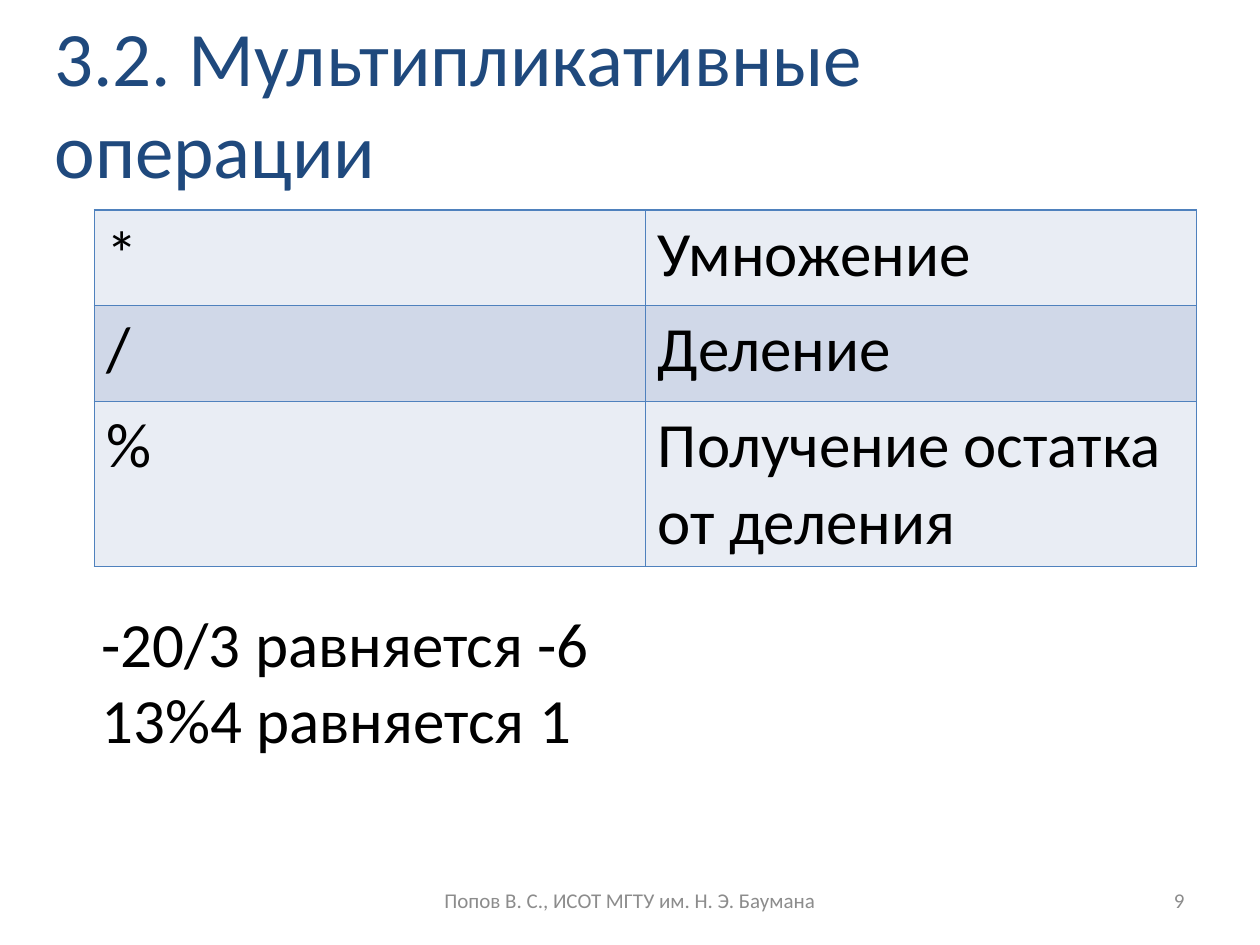
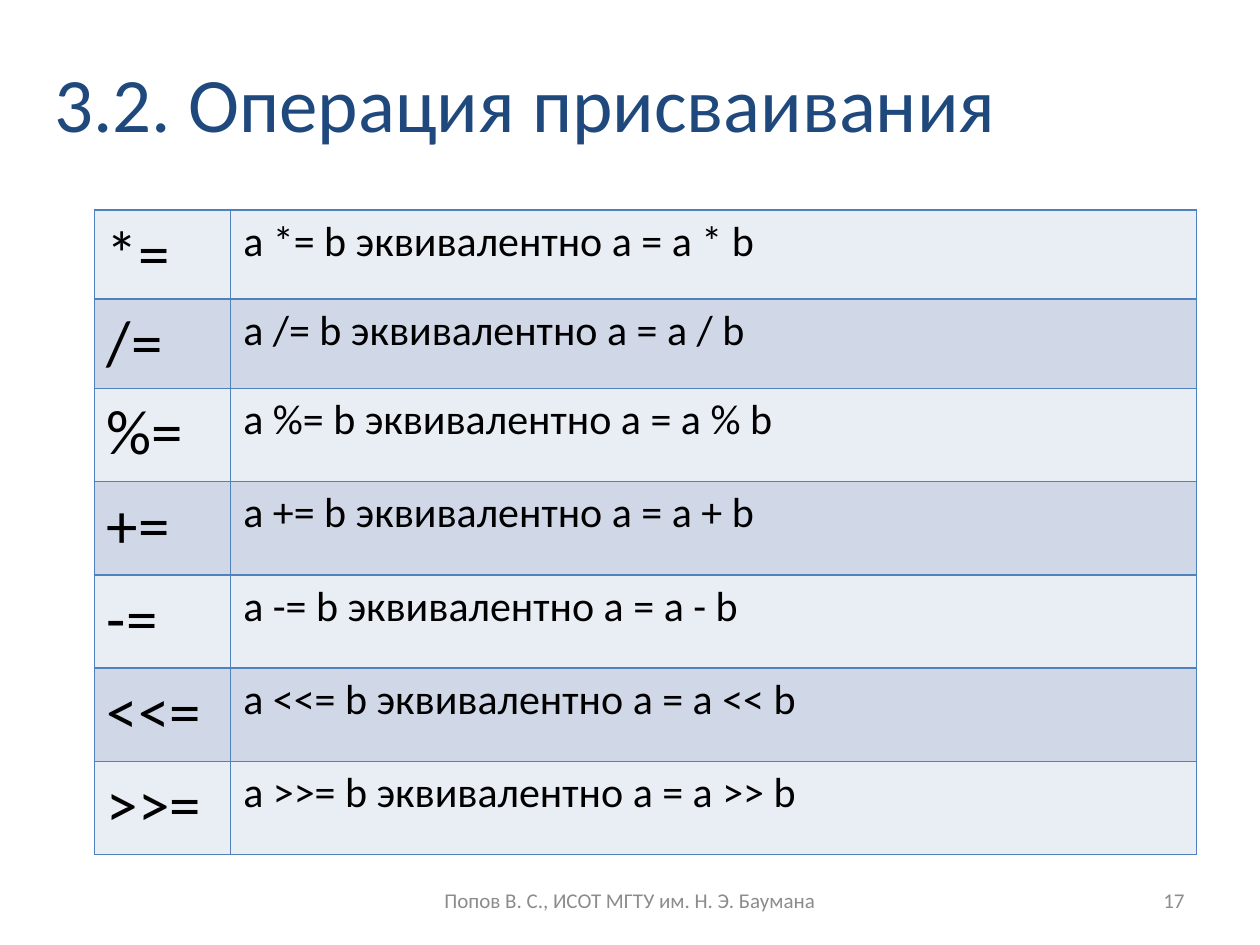
import pptx
import pptx.util
import pptx.dml.color
import pptx.enum.text
import pptx.oxml
import pptx.oxml.ns
import lxml.etree

Cm, Pt = pptx.util.Cm, pptx.util.Pt
RGBColor = pptx.dml.color.RGBColor
ALIGN = pptx.enum.text.PP_ALIGN
ANCHOR = pptx.enum.text.MSO_ANCHOR

FONT = "Calibri"
NAVY = RGBColor(0x1F, 0x49, 0x7D)
BLACK = RGBColor(0, 0, 0)
GRAY = RGBColor(0x8C, 0x8C, 0x8C)
BORDER = RGBColor(0x4F, 0x81, 0xBD)
BANDS = [RGBColor(0xE9, 0xED, 0xF4), RGBColor(0xD0, 0xD8, 0xE8)]

FOOTER = "Попов В. С., ИСОТ МГТУ им. Н. Э. Баумана"
ASSIGNED = ["*", "/", "%", "+", "-", "<<", ">>"]
PAGES = [
    {
        "title": "3.2. Мультипликативные операции",
        "number": 9,
        "rows": [("*", "Умножение"), ("/", "Деление"), ("%", "Получение остатка от деления")],
        "widths": [11.11, 11.11],
        "heights": [1.93, 1.93, 3.33],
        "sizes": [36, 36],
        "examples": ["-20/3 равняется -6", "13%4 равняется 1"],
    },
    {
        "title": "3.2. Операция присваивания",
        "number": 17,
        "rows": [(f"{sign}=", f"a {sign}= b эквивалентно a = a {sign} b") for sign in ASSIGNED],
        "widths": [2.75, 19.47],
        "heights": [1.8] * 2 + [1.88] * 5,
        "sizes": [36, 24],
        "examples": [],
    },
]


def format_text(frame, size, color, align=ALIGN.LEFT, indent=0):
    for para in frame.paragraphs:
        para.alignment = align
        if indent:
            properties = para._p.get_or_add_pPr()
            properties.set("marL", str(Cm(indent)))
            properties.set("indent", "0")
        for span in para.runs:
            span.font.name = FONT
            span.font.size = Pt(size)
            span.font.color.rgb = color


def add_text(page, place, text, size, color, align=ALIGN.LEFT, anchor=ANCHOR.MIDDLE, indent=0):
    box = page.shapes.add_textbox(*[Cm(length) for length in place])
    frame = box.text_frame
    frame.word_wrap = True
    frame.vertical_anchor = anchor
    frame.text = text
    format_text(frame, size, color, align, indent)


def add_borders(cell):
    properties = cell._tc.get_or_add_tcPr()
    for side in ("a:lnL", "a:lnR", "a:lnT", "a:lnB"):
        line = lxml.etree.SubElement(properties, pptx.oxml.ns.qn(side), w=str(Pt(1)))
        fill = lxml.etree.SubElement(line, pptx.oxml.ns.qn("a:solidFill"))
        lxml.etree.SubElement(fill, pptx.oxml.ns.qn("a:srgbClr"), val=str(BORDER))


def add_operations(page, rows, widths, heights, sizes):
    table = page.shapes.add_table(
        len(rows), len(widths), Cm(1.9), Cm(4.23), Cm(sum(widths)), Cm(sum(heights))
    ).table
    table.first_row = False
    for column, width in zip(table.columns, widths):
        column.width = Cm(width)
    for index, (texts, height) in enumerate(zip(rows, heights)):
        table.rows[index].height = Cm(height)
        for cell, text, size in zip(table.rows[index].cells, texts, sizes):
            cell.text = text
            format_text(cell.text_frame, size, BLACK)
            add_borders(cell)
            cell.fill.solid()
            cell.fill.fore_color.rgb = BANDS[index % 2]


deck = pptx.Presentation()
deck.slide_width, deck.slide_height = Cm(25.4), Cm(19.05)

for content in PAGES:
    page = deck.slides.add_slide(deck.slide_layouts[6])
    add_text(page, (0.85, 0, 20.75, 4.1), content["title"], 44, NAVY)
    add_text(page, (18.2, 17.65, 5.93, 1.01), str(content["number"]), 12, GRAY, ALIGN.RIGHT)
    add_text(page, (8.68, 17.65, 8.04, 1.01), FOOTER, 12, GRAY, ALIGN.CENTER)
    add_operations(page, content["rows"], content["widths"], content["heights"], content["sizes"])
    if content["examples"]:
        add_text(page, (0.85, 12.07, 23.71, 3.33), "\n".join(content["examples"]), 36, BLACK,
                 anchor=ANCHOR.TOP, indent=0.95)

deck.save("out.pptx")
